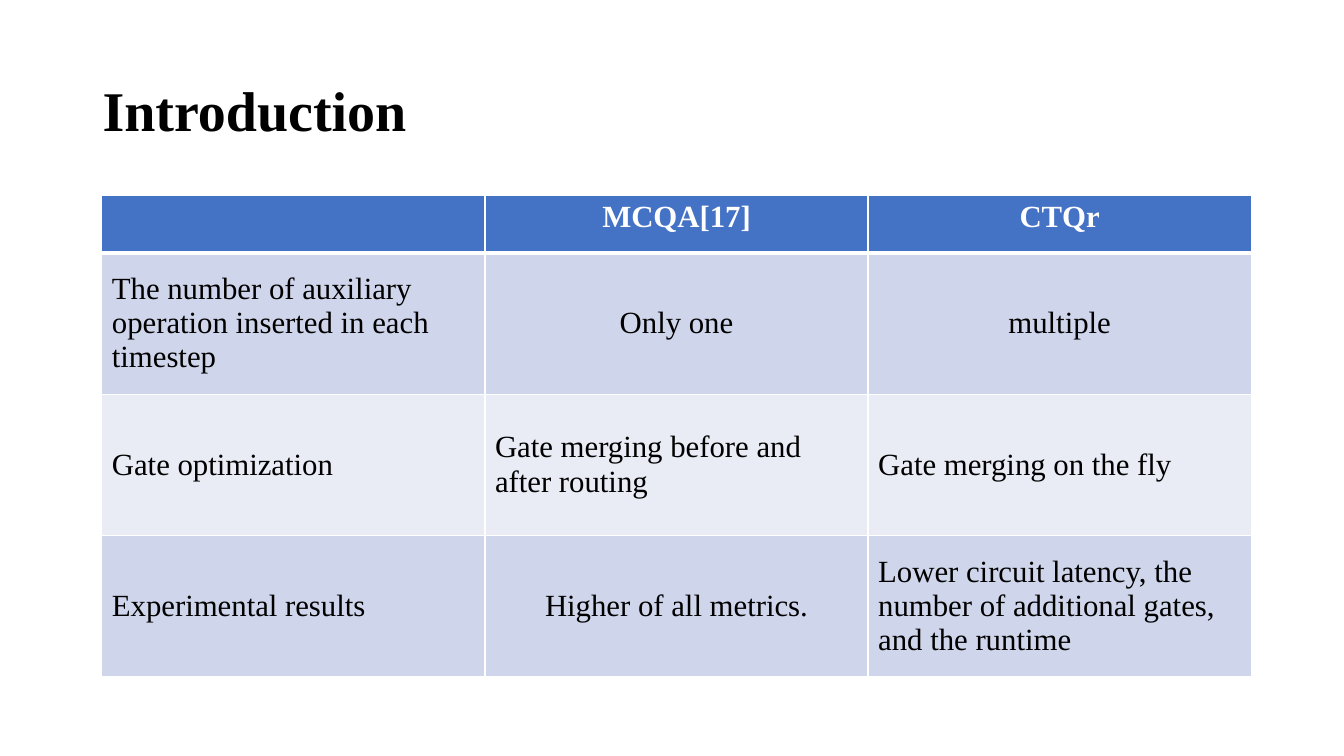
from lxml.etree import SubElement
from pptx import Presentation
from pptx.dml.color import RGBColor
from pptx.enum.text import MSO_ANCHOR as Anchor, PP_ALIGN as Align
from pptx.oxml.ns import qn
from pptx.util import Inches, Pt

WIDTH, HEIGHT = Inches(13.33), Inches(7.5)
FONT = "Times New Roman"
HEADER_FILL = "4472C4"
BAND_FILLS = ["CFD5EA", "E9EBF5"]
COLUMN_WIDTH = Inches(3.8)
HEADER_HEIGHT, ROW_HEIGHT = Inches(0.57), Inches(1.4)
ROWS = [
    ["", "MCQA[17]", "CTQr"],
    ["The number of auxiliary operation inserted in each timestep", "Only one", "multiple"],
    ["Gate optimization", "Gate merging before and after routing", "Gate merging on the fly"],
    ["Experimental results", "Higher of all metrics.",
     "Lower circuit latency, the number of additional gates, and the runtime"],
]
CENTERED = {"MCQA[17]", "CTQr", "Only one", "multiple", "Higher of all metrics."}


def color(value):
    return RGBColor.from_string(value)


def style(p, size, hex_color, bold=False):
    p.font.name, p.font.size, p.font.bold = FONT, Pt(size), bold
    p.font.color.rgb = color(hex_color)


def add_title(s, text):
    sp = s.shapes.add_textbox(int(WIDTH * 0.069), int(HEIGHT * 0.053),
                              int(WIDTH * 0.863), int(HEIGHT * 0.193))
    tf = sp.text_frame
    tf.word_wrap = True
    tf.vertical_anchor = Anchor.MIDDLE
    p = tf.paragraphs[0]
    p.text = text
    p.line_spacing = 0.9
    style(p, 40, "000000", True)


def add_borders(cell, **widths):
    tc_pr = cell._tc.get_or_add_tcPr()
    for side in "LRTB":
        ln = SubElement(tc_pr, qn(f"a:ln{side}"), w=str(Pt(widths.get(side, 1))))
        fill = SubElement(ln, qn("a:solidFill"))
        SubElement(fill, qn("a:srgbClr"), val="FFFFFF")


def fill_cell(cell, text, row):
    header = row == 0
    add_borders(cell, **({"B": 3} if header else {"T": 3} if row == 1 else {}))
    cell.fill.solid()
    cell.fill.fore_color.rgb = color(HEADER_FILL if header else BAND_FILLS[(row - 1) % 2])
    cell.vertical_anchor = Anchor.TOP if header else Anchor.MIDDLE
    p = cell.text_frame.paragraphs[0]
    p.text = text
    p.alignment = Align.CENTER if text in CENTERED else Align.LEFT
    style(p, 22, "FFFFFF" if header else "000000", header)


def add_comparison(s, rows):
    count = len(rows[0])
    table = s.shapes.add_table(
        len(rows), count, Inches(1.01), Inches(1.94),
        COLUMN_WIDTH * count, HEADER_HEIGHT + ROW_HEIGHT * (len(rows) - 1)).table
    for column in table.columns:
        column.width = COLUMN_WIDTH
    for i, texts in enumerate(rows):
        table.rows[i].height = ROW_HEIGHT if i else HEADER_HEIGHT
        for j, text in enumerate(texts):
            fill_cell(table.cell(i, j), text, i)


def main():
    prs = Presentation()
    prs.slide_width, prs.slide_height = WIDTH, HEIGHT
    s = prs.slides.add_slide(prs.slide_layouts[6])
    add_title(s, "Introduction")
    add_comparison(s, ROWS)
    prs.save("out.pptx")


if __name__ == "__main__":
    main()
